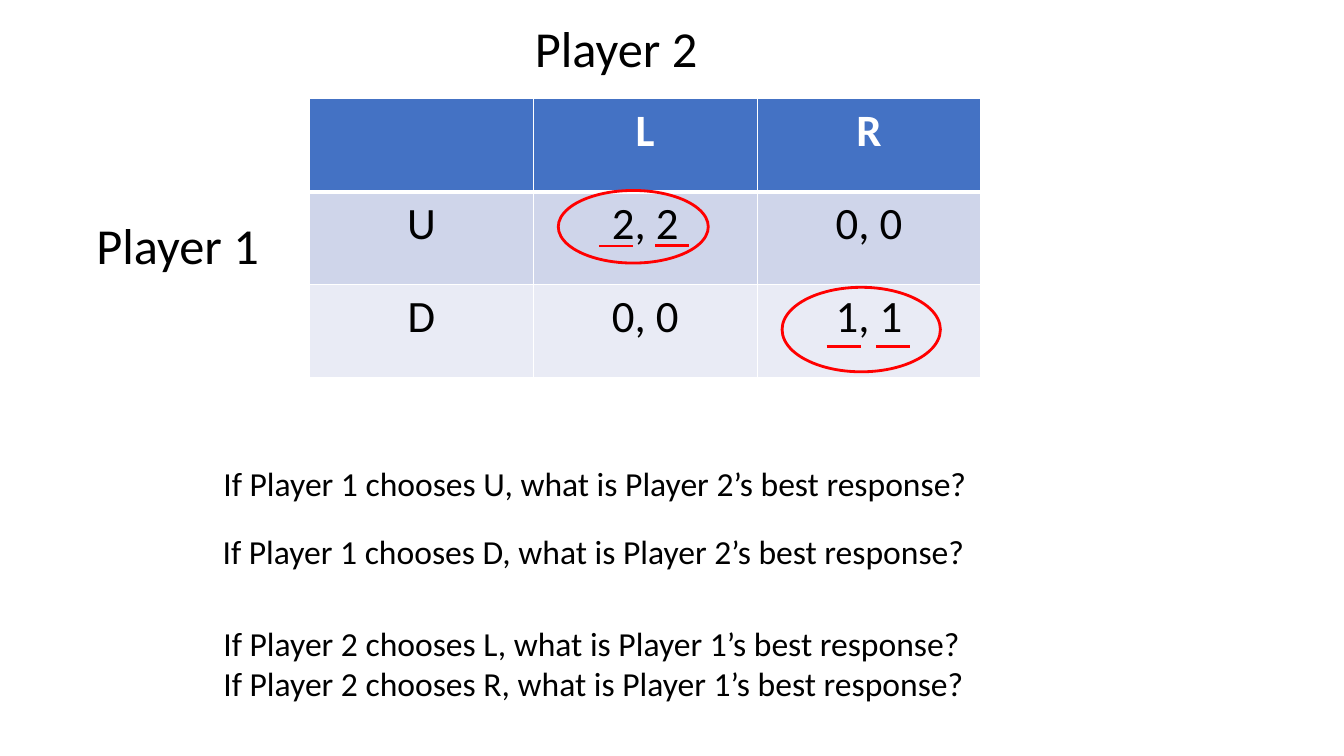
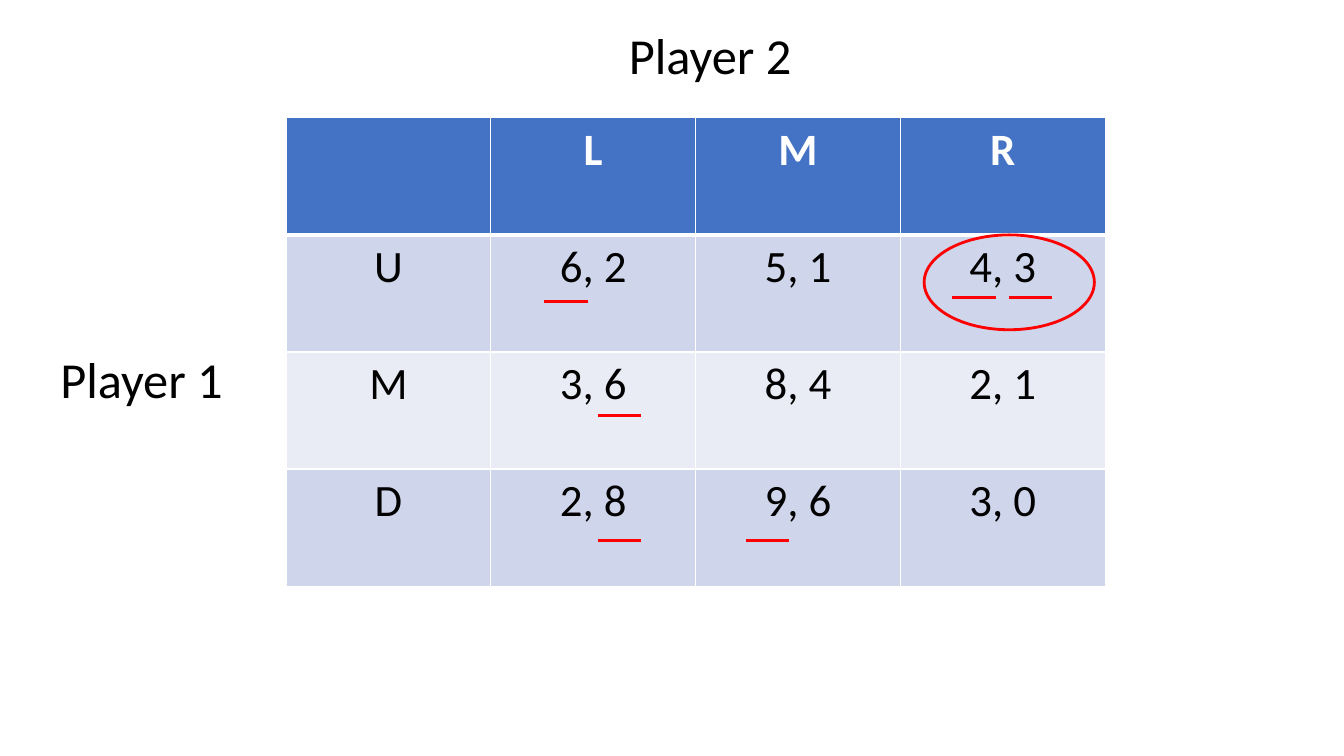
from dataclasses import dataclass

from lxml.etree import SubElement
from pptx import Presentation
from pptx.dml.color import RGBColor
from pptx.enum.shapes import MSO_CONNECTOR, MSO_SHAPE
from pptx.enum.text import PP_ALIGN
from pptx.oxml import parse_xml
from pptx.oxml.ns import nsdecls, qn
from pptx.util import Cm, Pt

COLORS = {
    "header": "4472C4",
    "band_dark": "CFD5EA",
    "band_light": "E9EBF5",
    "white": "FFFFFF",
    "text": "000000",
    "mark": "FF0000",
}
FONT = "Calibri"
LABEL_SIZE = 36
CELL_SIZE = 32
QUESTION_SIZE = 24
MARK_WIDTH = Pt(2)
LABEL_WIDTH = 4.72
LABEL_HEIGHT = 1.8


@dataclass(frozen=True)
class Label:
    text: str
    left: float
    top: float
    width: float = LABEL_WIDTH
    height: float = LABEL_HEIGHT
    size: int = LABEL_SIZE


@dataclass(frozen=True)
class PayoffTable:
    left: float
    top: float
    column_width: float
    row_height: float
    rows: tuple[tuple[str, ...], ...]


@dataclass(frozen=True)
class Underline:
    left: float
    top: float


@dataclass(frozen=True)
class Ring:
    left: float
    top: float
    width: float
    height: float


@dataclass(frozen=True)
class Game:
    table: PayoffTable
    labels: tuple[Label, ...]
    underline_width: float
    underlines: tuple[Underline, ...]
    rings: tuple[Ring, ...]


def question(text: str, left: float, top: float, height: float) -> Label:
    return Label(text, left, top, 19.4, height, QUESTION_SIZE)


GAMES = (
    Game(
        table=PayoffTable(7.8, 2.49, 5.64, 2.34, (
            ("", "L", "R"),
            ("U", "2, 2", "0, 0"),
            ("D", "0, 0", "1, 1"),
        )),
        labels=(
            Label("Player 1", 2.18, 5.28),
            Label("Player 2", 13.23, 0.3),
            question("If Player 1 chooses U, what is Player 2’s best response?", 5.38, 11.53, 1.27),
            question("If Player 1 chooses D, what is Player 2’s best response?", 5.36, 13.26, 2.06),
            question(
                "If Player 2 chooses L, what is Player 1’s best response?\n"
                "If Player 2 chooses R, what is Player 1’s best response?",
                5.38, 15.57, 2.31,
            ),
        ),
        underline_width=0.86,
        underlines=(
            Underline(15.09, 6.2),
            Underline(16.51, 6.18),
            Underline(20.83, 8.74),
            Underline(22.07, 8.74),
        ),
        rings=(Ring(14.07, 4.8, 3.78, 1.83), Ring(19.71, 7.24, 3.99, 2.13)),
    ),
    Game(
        table=PayoffTable(7.21, 2.97, 5.16, 2.95, (
            ("", "L", "M", "R"),
            ("U", "6, 2", "5, 1", "4, 3"),
            ("M", "3, 6", "8, 4", "2, 1"),
            ("D", "2, 8", "9, 6", "3, 0"),
        )),
        labels=(Label("Player 1", 1.27, 8.64), Label("Player 2", 15.6, 0.48)),
        underline_width=1.09,
        underlines=(
            Underline(13.72, 7.59),
            Underline(15.06, 10.46),
            Underline(15.06, 13.61),
            Underline(18.8, 13.61),
            Underline(24, 7.5),
            Underline(25.43, 7.5),
        ),
        rings=(Ring(23.29, 5.92, 4.29, 2.39),),
    ),
)


def rgb(name: str) -> RGBColor:
    return RGBColor.from_string(COLORS[name])


def format_text(frame, size: int, color: str, bold: bool = False) -> None:
    for para in frame.paragraphs:
        for span in para.runs:
            span.font.name = FONT
            span.font.size = Pt(size)
            span.font.bold = bold
            span.font.color.rgb = rgb(color)


def add_label(page, label: Label) -> None:
    box = page.shapes.add_textbox(Cm(label.left), Cm(label.top), Cm(label.width), Cm(label.height))
    frame = box.text_frame
    frame.word_wrap = True
    frame.text = label.text
    format_text(frame, label.size, "text")


def set_borders(cell, row_index: int) -> None:
    properties = cell._tc.get_or_add_tcPr()
    widths = {
        "lnL": 1,
        "lnR": 1,
        "lnT": 3 if row_index == 1 else 1,
        "lnB": 3 if row_index == 0 else 1,
    }
    for position, (side, width) in enumerate(widths.items()):
        border = parse_xml(
            f'<a:{side} {nsdecls("a")} w="{Pt(width)}"><a:solidFill>'
            f'<a:srgbClr val="{COLORS["white"]}"/></a:solidFill></a:{side}>'
        )
        properties.insert(position, border)


def add_payoff_table(page, payoff: PayoffTable) -> None:
    row_count, column_count = len(payoff.rows), len(payoff.rows[0])
    table = page.shapes.add_table(
        row_count, column_count, Cm(payoff.left), Cm(payoff.top),
        Cm(payoff.column_width * column_count), Cm(payoff.row_height * row_count),
    ).table
    for column in table.columns:
        column.width = Cm(payoff.column_width)
    for row_index, texts in enumerate(payoff.rows):
        table.rows[row_index].height = Cm(payoff.row_height)
        is_header = row_index == 0
        band = "band_dark" if row_index % 2 else "band_light"
        for column_index, text in enumerate(texts):
            cell = table.cell(row_index, column_index)
            cell.fill.solid()
            cell.fill.fore_color.rgb = rgb("header" if is_header else band)
            set_borders(cell, row_index)
            if text:
                cell.text_frame.text = text
                cell.text_frame.paragraphs[0].alignment = PP_ALIGN.CENTER
                format_text(cell.text_frame, CELL_SIZE, "white" if is_header else "text", is_header)


def style_mark(line) -> None:
    line.color.rgb = rgb("mark")
    line.width = MARK_WIDTH


def add_underline(page, underline: Underline, width: float) -> None:
    connector = page.shapes.add_connector(
        MSO_CONNECTOR.STRAIGHT, Cm(underline.left), Cm(underline.top),
        Cm(underline.left + width), Cm(underline.top),
    )
    style_mark(connector.line)
    SubElement(connector._element.spPr, qn("a:effectLst"))


def add_ring(page, ring: Ring) -> None:
    oval = page.shapes.add_shape(
        MSO_SHAPE.OVAL, Cm(ring.left), Cm(ring.top), Cm(ring.width), Cm(ring.height)
    )
    oval.shadow.inherit = False
    oval.fill.background()
    style_mark(oval.line)


def add_game(deck, game: Game) -> None:
    page = deck.slides.add_slide(deck.slide_layouts[6])
    add_payoff_table(page, game.table)
    for label in game.labels:
        add_label(page, label)
    for underline in game.underlines:
        add_underline(page, underline, game.underline_width)
    for ring in game.rings:
        add_ring(page, ring)


def main() -> None:
    deck = Presentation()
    deck.slide_width = Cm(33.87)
    deck.slide_height = Cm(19.05)
    for game in GAMES:
        add_game(deck, game)
    deck.save("out.pptx")


if __name__ == "__main__":
    main()
